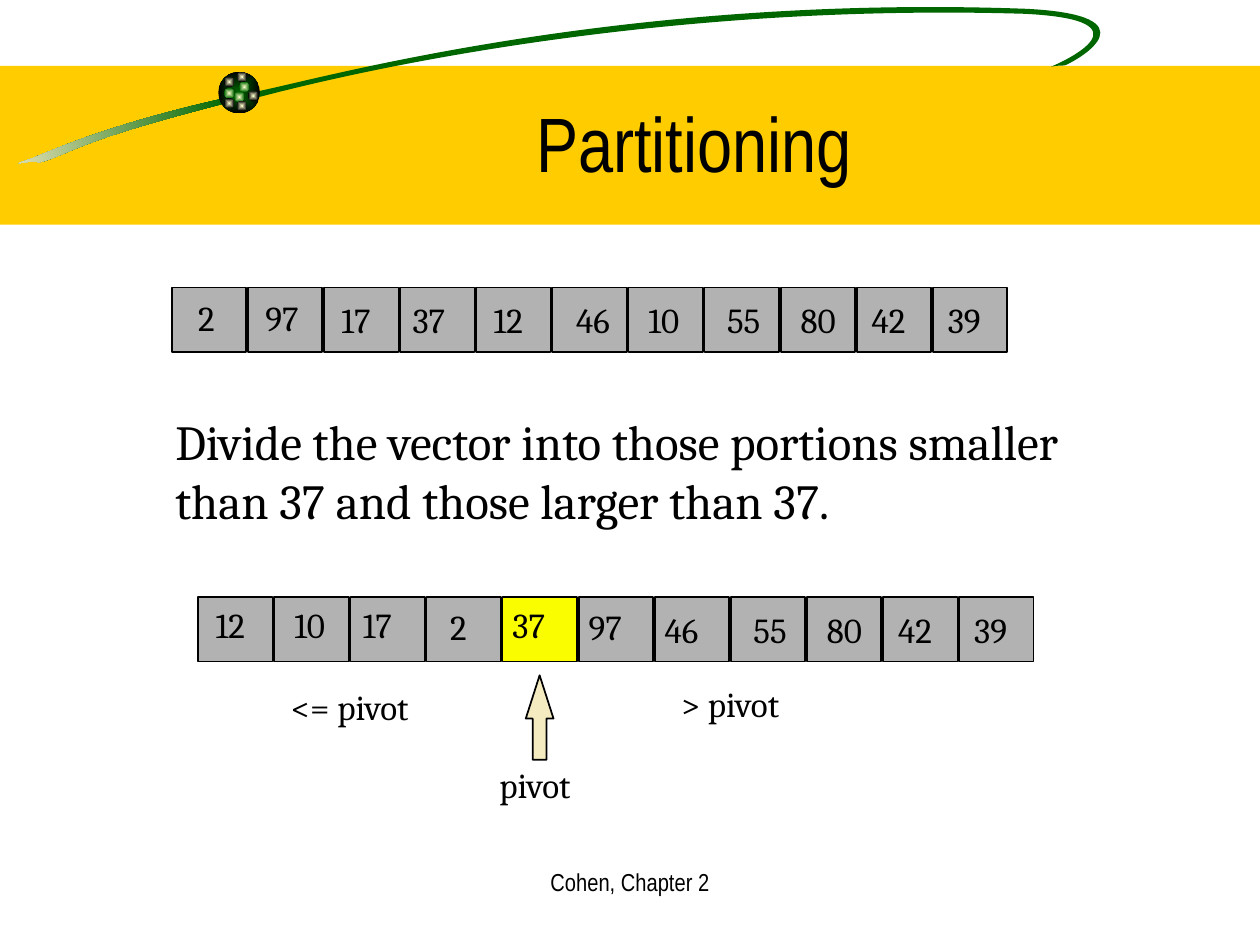
"""Build the Partitioning slide on a grid of 100 columns by 75 rows."""
from math import cos, radians, sin

from lxml import etree
from pptx import Presentation
from pptx.dml.color import RGBColor
from pptx.enum.shapes import MSO_SHAPE
from pptx.enum.text import MSO_ANCHOR, MSO_AUTO_SIZE, PP_ALIGN
from pptx.oxml.ns import qn
from pptx.util import Inches, Pt

RECTANGLE, OVAL, UP_ARROW = MSO_SHAPE.RECTANGLE, MSO_SHAPE.OVAL, MSO_SHAPE.UP_ARROW
LEFT, CENTER = PP_ALIGN.LEFT, PP_ALIGN.CENTER
TOP, MIDDLE = MSO_ANCHOR.TOP, MSO_ANCHOR.MIDDLE
FIXED, FITTED = MSO_AUTO_SIZE.NONE, MSO_AUTO_SIZE.SHAPE_TO_FIT_TEXT

BLACK = RGBColor(0x00, 0x00, 0x00)
GOLD = RGBColor(0xFF, 0xCC, 0x00)
GREEN = RGBColor(0x00, 0x66, 0x00)
CREAM = RGBColor(0xF5, 0xEB, 0xC1)
GLOW = RGBColor(0xFF, 0xFF, 0xCC)
GRAY = RGBColor(0xB2, 0xB2, 0xB2)
YELLOW = RGBColor(0xFA, 0xFD, 0x00)

prs = Presentation()
prs.slide_width, prs.slide_height = Inches(10), Inches(7.5)
GRID = prs.slide_width // 100
slide = prs.slides.add_slide(prs.slide_layouts[5])
shapes = slide.shapes
title = shapes.title


def write(text, box, holder=None, size=20, font="Cambria", align=LEFT,
          anchor=TOP, wrap=False, fit=FITTED):
    left, top, width, height = (round(length * GRID) for length in box)
    holder = holder or shapes.add_textbox(left, top, width, height)
    holder.left, holder.top, holder.width, holder.height = left, top, width, height
    frame = holder.text_frame
    frame.text = text
    frame.word_wrap, frame.auto_size, frame.vertical_anchor = wrap, fit, anchor
    paragraph = frame.paragraphs[0]
    paragraph.alignment = align
    paragraph.font.size, paragraph.font.name = Pt(size), font
    paragraph.font.color.rgb = BLACK


def draw(kind, box, fill, fade_to=None, outlined=False):
    shape = shapes.add_shape(kind, *(round(length * GRID) for length in box))
    shape.shadow.inherit = False
    if fade_to is None:
        shape.fill.solid()
        shape.fill.fore_color.rgb = fill
    else:
        shape.fill.gradient()
        for stop, color in zip(shape.fill.gradient_stops, (fill, fade_to)):
            stop.color.rgb = color
        linear = shape.fill._xPr.find(".//" + qn("a:lin"))
        radial = etree.Element(qn("a:path"), path="rect")
        etree.SubElement(radial, qn("a:fillToRect"), l="50000", t="50000", r="50000", b="50000")
        linear.getparent().replace(linear, radial)
    if outlined:
        shape.line.color.rgb = BLACK
        shape.line.width = Pt(1)
    else:
        shape.line.fill.background()
    return shape


draw(RECTANGLE, (0, 5.23, 100, 12.6), GOLD)

tail = [
    (17.8, 7.8),
    (9.1, 9.8), (4.9, 11.6), (2.5, 12.6),
    (0.1, 13.4), (2.6, 12.6), (3.1, 12.9),
    (5.7, 12.2), (5.7, 11.3), (17.9, 8.2),
]
loop = [
    (20.2, 7.3),
    (24.6, 6.5), (48.6, -0.5), (81.4, 0.7),
    (91.7, 1.2), (85.7, 4.7), (84.5, 5.2),
    (84.5, 5.2), (83.8, 5.2), (83.4, 5.3),
    (84.4, 4.9), (91.6, 1.6), (81.3, 1.1),
    (54.8, 0.3), (32, 4.7), (20.6, 7.7),
]
TILT = 8.5
turn = complex(cos(radians(TILT)), sin(radians(TILT)))
for curve, fades in ((tail, True), (loop, False)):
    level = [complex(x, y) * turn * GRID for x, y in curve]
    start, *rest = [(round(point.real), round(point.imag)) for point in level]
    outline = shapes.build_freeform(*start)
    outline.add_line_segments(rest, close=True)
    swoosh = outline.convert_to_shape()
    lines = list(swoosh._element.iter(qn("a:lnTo")))[:len(rest)]
    for first in range(0, len(rest), 3):
        bezier = etree.Element(qn("a:cubicBezTo"))
        lines[first].addprevious(bezier)
        for line in lines[first:first + 3]:
            bezier.append(line[0])
            line.getparent().remove(line)
    middle = complex(swoosh.left + swoosh.width / 2, swoosh.top + swoosh.height / 2)
    middle *= turn.conjugate()
    swoosh.left = round(middle.real - swoosh.width / 2)
    swoosh.top = round(middle.imag - swoosh.height / 2)
    swoosh.rotation = 360 - TILT
    swoosh.shadow.inherit = False
    swoosh.line.fill.background()
    if fades:
        swoosh.fill.gradient()
        swoosh.fill.gradient_angle = 180
        for stop, color in zip(swoosh.fill.gradient_stops, (GREEN, CREAM)):
            stop.color.rgb = color
    else:
        swoosh.fill.solid()
        swoosh.fill.fore_color.rgb = GREEN

draw(OVAL, (17.33, 5.7, 3.3, 3.3), GREEN, BLACK)
sparkles = [
    (19, 6.5, GREEN), (17.8, 6.1, BLACK), (17.8, 7, GREEN), (18.6, 7.3, GREEN),
    (19.7, 7.2, BLACK), (18.8, 8, BLACK), (17.8, 7.8, BLACK), (18.8, 5.7, BLACK),
]
for left, top, rim in sparkles:
    draw(OVAL, (left, top, 0.8, 0.8), GLOW, rim)

shapes._spTree.append(title._element)
write("Partitioning", (12.6, 5, 85, 12.5), title, size=44, font="Arial Narrow",
      align=CENTER, anchor=MIDDLE, wrap=True, fit=FIXED)

PITCH, CELL_WIDTH, CELL_HEIGHT = 6.04, 5.9, 5.1
unsorted_vector = [
    ("2", 1.1, 0.2), ("97", 0.4, 0.2), ("17", 0.4, 0.4), ("37", 0, 0.4),
    ("12", 0.4, 0.4), ("46", 0.9, 0.4), ("10", 0.6, 0.4), ("55", 0.8, 0.4),
    ("80", 0.6, 0.4), ("42", 0.2, 0.4), ("39", 0.2, 0.4),
]
partitioned_vector = [
    ("12", 0.4, 0), ("10", 0.6, 0), ("17", 0, 0), ("2", 0.9, 0.2),
    ("37", -0.2, 0), ("97", -0.2, 0.2), ("46", -0.2, 0.4), ("55", 0.8, 0.4),
    ("80", 0.6, 0.4), ("42", 0.2, 0.4), ("39", 0.2, 0.4),
]
for vector, left, top, pivot in ((unsorted_vector, 13.64, 22.82, None),
                                 (partitioned_vector, 15.73, 47.4, "37")):
    for column, (number, _, _) in enumerate(vector):
        draw(RECTANGLE, (left + column * PITCH, top, CELL_WIDTH, CELL_HEIGHT),
             YELLOW if number == pivot else GRAY, outlined=True)
    for column, (number, shift, drop) in enumerate(vector):
        write(number, (left + column * PITCH + shift, top + drop,
                       2.1 + 1.5 * len(number), 4.3))

write("Divide the vector into those portions smaller than 37 and those larger than 37.",
      (12.93, 32.2, 73.7, 15), size=28, wrap=True, fit=FIXED)

pivot_arrow = draw(UP_ARROW, (41.73, 53.6, 2.2, 6.7), CREAM, outlined=True)
pivot_arrow.adjustments[0], pivot_arrow.adjustments[1] = 0.5, 1.56

for label, left, top, width in (("pivot", 38.65, 60.1, 8.8), ("> pivot", 53.05, 53.7, 11.1),
                                ("<= pivot", 22.1, 53.9, 12.7)):
    write(label, (left, top, width, 4.3))

write("Cohen, Chapter 2", (34.15, 68.3, 31.7, 5), size=14, font="Arial Narrow",
      align=CENTER, wrap=True, fit=FIXED)

prs.save("out.pptx")
